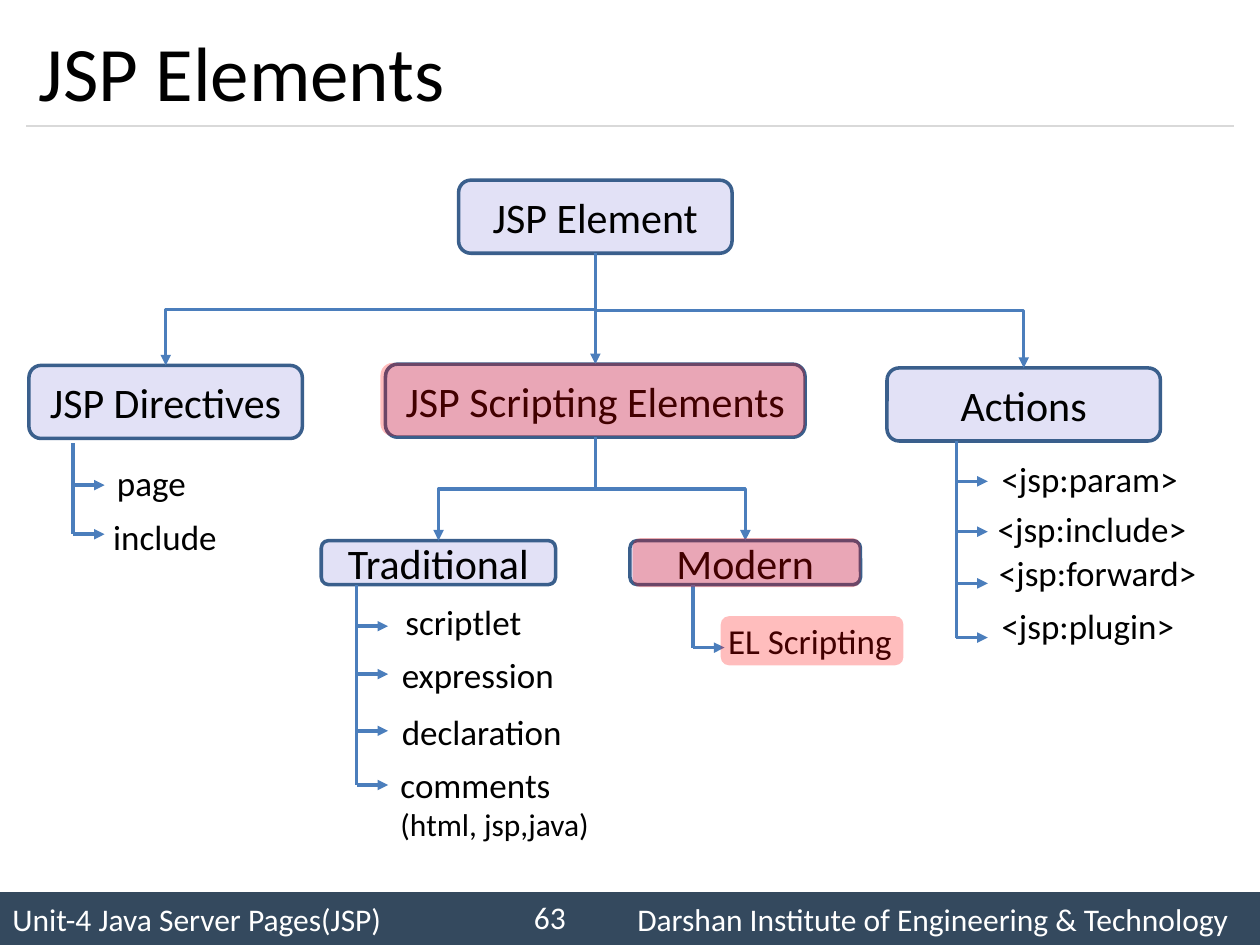
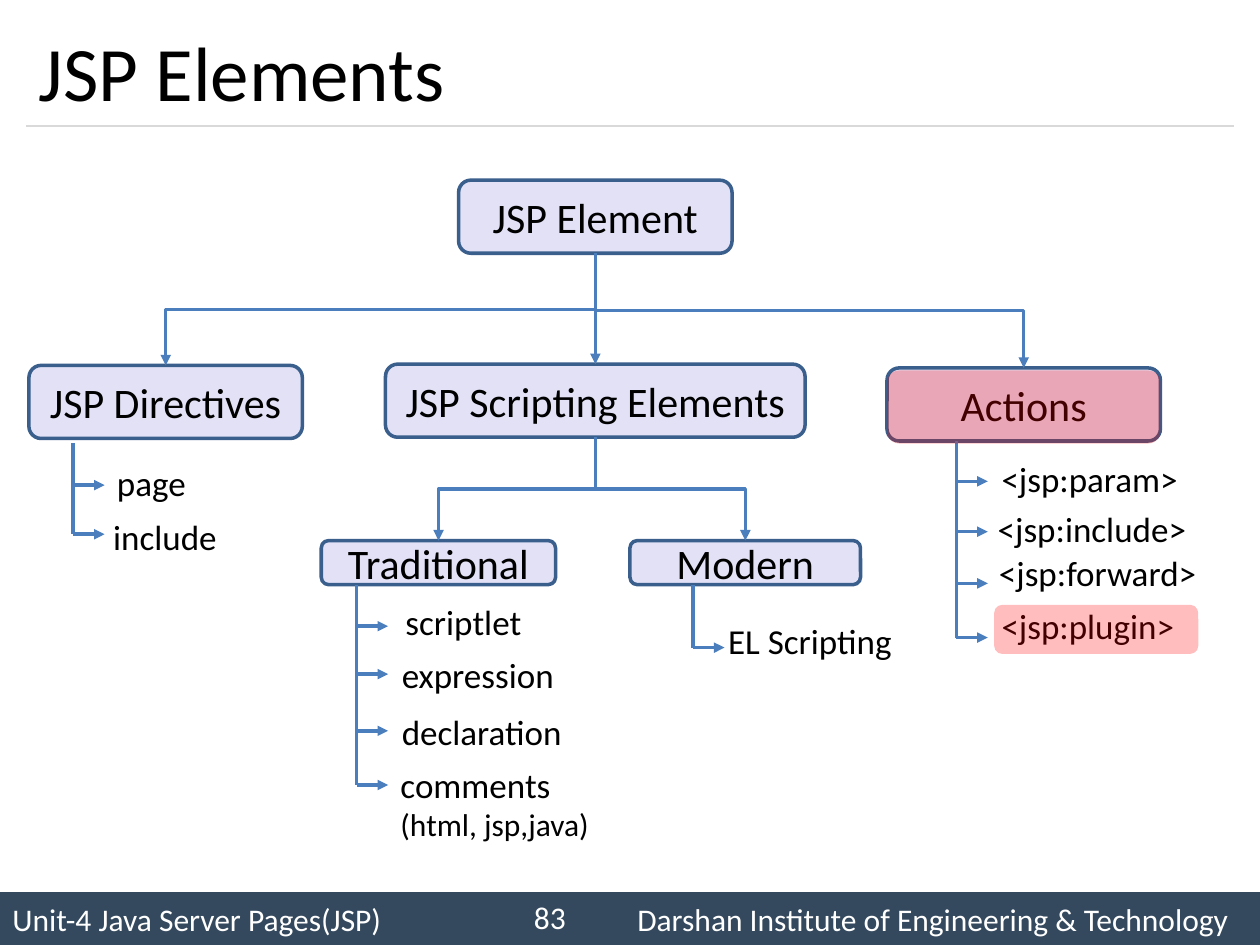
from pptx import Presentation
from pptx.dml.color import RGBColor
from pptx.enum.shapes import MSO_CONNECTOR as Link, MSO_SHAPE as Form
from pptx.enum.text import MSO_ANCHOR as Anchor, MSO_AUTO_SIZE as Auto, PP_ALIGN as Align
from pptx.oxml.ns import qn
from pptx.util import Inches, Pt
from lxml.etree import SubElement

BLACK = RGBColor(0x00, 0x00, 0x00)
WHITE = RGBColor(0xFF, 0xFF, 0xFF)
SLATE = RGBColor(0x34, 0x49, 0x5E)
GREY = RGBColor(0xD9, 0xD9, 0xD9)
INDIGO = RGBColor(0x13, 0x0B, 0xB5)
EDGE = RGBColor(0x3A, 0x5F, 0x8C)
BLUE = RGBColor(0x4B, 0x7E, 0xBC)
RED = RGBColor(0xFF, 0x00, 0x00)

NODES = {
    "JSP Element": (3.64, 1.43, 2.17, 0.58),
    "JSP Directives": (0.23, 2.9, 2.17, 0.58),
    "JSP Scripting Elements": (3.06, 2.89, 3.33, 0.58),
    "Actions": (7.04, 2.92, 2.17, 0.58),
    "Traditional": (2.55, 4.29, 1.86, 0.35),
    "Modern": (5, 4.29, 1.83, 0.35),
}
TREE = {
    "JSP Element": ("JSP Directives", "JSP Scripting Elements", "Actions"),
    "JSP Scripting Elements": ("Traditional", "Modern"),
}
LISTS = [
    (0.58, 3.52, [
        ("page", 0.83, 3.61, 0.75, 3.85),
        ("include", 0.8, 4.04, 1.03, 4.24)]),
    (2.83, 4.64, [
        ("scriptlet", 3.12, 4.72, 1.13, 4.97),
        ("expression", 3.09, 5.14, 1.42, 5.35),
        ("declaration", 3.09, 5.59, 1.49, 5.8),
        ("comments\n(html, jsp,java)", 3.08, 6.01, 1.71, 6.23)]),
    (5.5, 4.64, [("EL Scripting", 5.68, 4.87, 1.52, 5.14)]),
    (7.59, 3.5, [
        ("<jsp:param>", 7.85, 3.58, 1.62, 3.82),
        ("<jsp:include>", 7.82, 3.98, 1.71, 4.22),
        ("<jsp:forward>", 7.83, 4.33, 1.78, 4.63),
        ("<jsp:plugin>", 7.85, 4.75, 1.59, 5.06)]),
]
PAGES = [
    ("63", [(3.02, 2.88, 3.37, 0.58), (5.02, 4.27, 1.81, 0.39), (5.72, 4.89, 1.45, 0.39)]),
    ("83", [(7.04, 2.94, 2.17, 0.58), (7.89, 4.8, 1.62, 0.39)]),
]


def write(shape, text, size=20, rest=18, color=BLACK, align=Align.LEFT,
          anchor=Anchor.MIDDLE, wrap=True, tab=None):
    """Fill a shape with text; lines after the first take the size in rest."""
    frame = shape.text_frame
    frame.word_wrap = wrap
    frame.vertical_anchor = anchor
    frame.auto_size = Auto.NONE if wrap else Auto.SHAPE_TO_FIT_TEXT
    for i, line in enumerate(text.split("\n")):
        para = frame.add_paragraph() if i else frame.paragraphs[0]
        para.alignment = align
        if tab:
            stops = SubElement(para._p.get_or_add_pPr(), qn("a:tabLst"))
            SubElement(stops, qn("a:tab"), pos=str(Inches(tab)), algn="l")
        run = para.add_run()
        run.text = line
        font = run.font
        font.name, font.size = "Calibri", Pt(rest if i else size)
        font.color.rgb = color


class Deck:
    """Holds the style and the current slide."""

    def __init__(self):
        self.prs = Presentation()
        self.prs.slide_width, self.prs.slide_height = Inches(10), Inches(7.5)

    def start(self, title, number):
        """Add a slide with its title, rule and footer."""
        self.shapes = self.prs.slides.add_slide(self.prs.slide_layouts[6]).shapes
        bar = self.block((0, 7.08, 10, 0.42), SLATE, form=Form.RECTANGLE)
        write(bar, "Unit-4 Java Server Pages(JSP)\tDarshan Institute of Engineering & Technology",
              size=18, color=WHITE, tab=4.96)
        self.line((0.21, 1), (9.79, 1), color=GREY, width=0.75)
        self.label(title, (0.21, 0.12, 9.58, 0.88), size=44)
        self.label(number, (3.92, 7.08, 0.67, 0.4), size=18, color=WHITE, align=Align.RIGHT)

    def block(self, area, fill, alpha=100, edge=None, form=Form.ROUNDED_RECTANGLE):
        """Draw a filled shape, see-through when alpha is under 100."""
        shape = self.shapes.add_shape(form, *map(Inches, area))
        shape.shadow.inherit = False
        shape.fill.solid()
        shape.fill.fore_color.rgb = fill
        if alpha < 100:
            tint = shape._element.spPr.find(qn("a:solidFill"))[0]
            SubElement(tint, qn("a:alpha"), val=str(alpha * 1000))
        if edge:
            shape.line.color.rgb, shape.line.width = edge, Pt(2)
        else:
            shape.line.fill.background()
        return shape

    def node(self, text, area):
        """Draw a labelled box of the tree."""
        box = self.block(area, INDIGO, alpha=12, edge=EDGE)
        write(box, text, size=24, align=Align.CENTER)
        return box

    def label(self, text, area, **style):
        """Add free text."""
        write(self.shapes.add_textbox(*map(Inches, area)), text, **style)

    def line(self, start, end, color=BLUE, width=2, head=False, kind=Link.STRAIGHT):
        """Draw a connector."""
        link = self.shapes.add_connector(kind, *map(Inches, (*start, *end)))
        link.line.color.rgb, link.line.width = color, Pt(width)
        props = link._element.spPr
        if head:
            SubElement(props.find(qn("a:ln")), qn("a:tailEnd"), type="triangle")
        SubElement(props, qn("a:effectLst"))
        return link

    def join(self, top, low):
        """Link the bottom of one box to the top of another."""
        x, y = top.left + top.width // 2, top.top + top.height
        dx, dy = low.left + low.width // 2 - x, low.top - y
        bent = abs(dx) > Inches(0.02)
        link = self.line((0, 0), (1, 1), head=True, kind=Link.ELBOW if bent else Link.STRAIGHT)
        link.begin_connect(top, 2)
        link.end_connect(low, 0)
        if bent:
            link.left, link.top = x + (dx - dy) // 2, y + (dy - abs(dx)) // 2
            link.width, link.height = dy, abs(dx)
            frame = link._element.spPr.find(qn("a:xfrm"))
            for name in ("flipH", "flipV"):
                frame.attrib.pop(name, None)
            frame.set("rot", str((270 if dx > 0 else 90) * 60000))
            if dx > 0:
                frame.set("flipH", "1")

    def branch(self, x, top, items):
        """Draw a stem with an arrow to each item."""
        self.line((x, top), (x, items[-1][-1]))
        for text, left, high, width, y in items:
            self.line((x, y), (x + 0.25, y), head=True)
            tall = 0.74 if "\n" in text else 0.44
            self.label(text, (left, high, width, tall), anchor=Anchor.TOP, wrap=False)


def main():
    """Build the slides and save them."""
    deck = Deck()
    for number, marks in PAGES:
        deck.start("JSP Elements", number)
        boxes = {text: deck.node(text, area) for text, area in NODES.items()}
        for top, lows in TREE.items():
            for low in lows:
                deck.join(boxes[top], boxes[low])
        for stem in LISTS:
            deck.branch(*stem)
        for mark in marks:
            deck.block(mark, RED, alpha=26)
    deck.prs.save("out.pptx")


if __name__ == "__main__":
    main()
